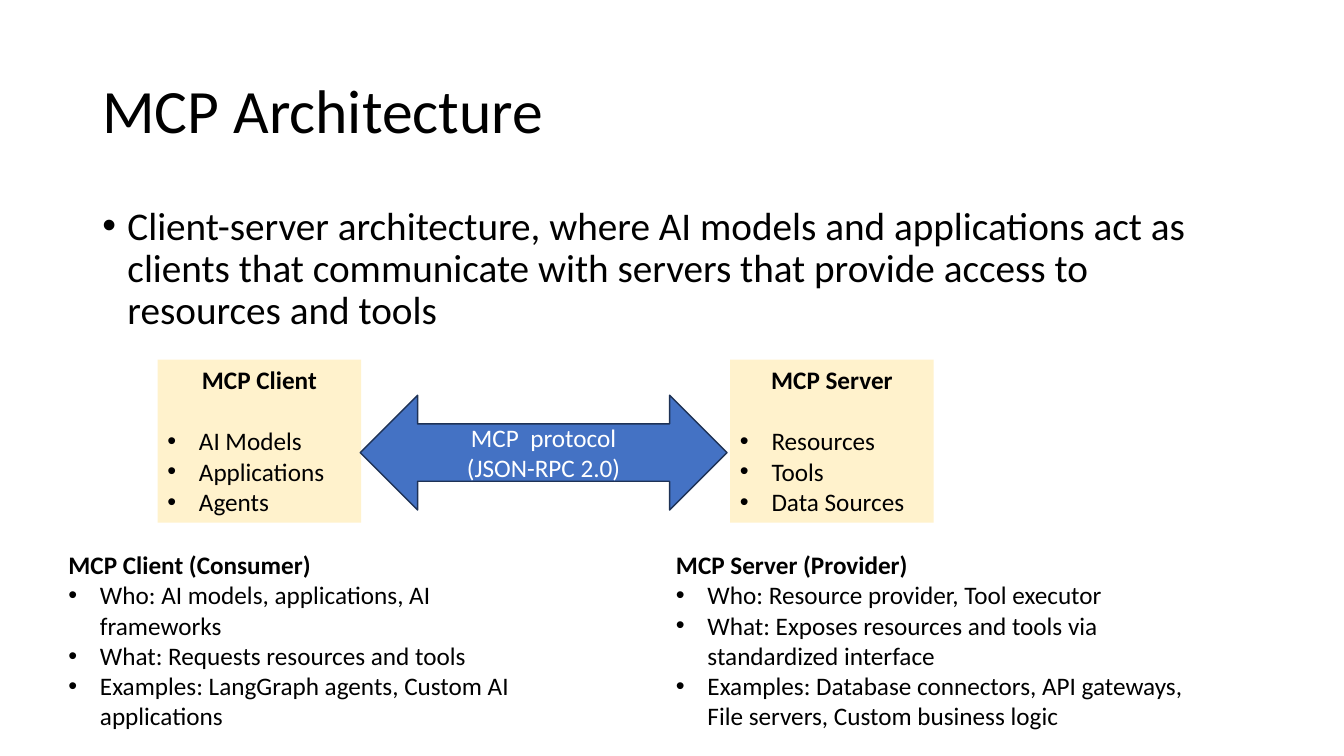
"""Build the MCP Architecture slide."""
from lxml import etree
from pptx import Presentation
from pptx import util as u
from pptx.dml.color import RGBColor
from pptx.enum import shapes, text
from pptx.oxml.ns import qn

CENTER = text.PP_ALIGN.CENTER
MIDDLE = text.MSO_ANCHOR.MIDDLE


def rgb(value):
    """Turn a hex string into a colour."""
    return RGBColor.from_string(value)


def write(sp, lines, size=18, color="000000", bold=False, indent=0, anchor=None, first=True, **fmt):
    """Add lines to a shape, with bullets where an indent is given."""
    tf = sp.text_frame
    tf.word_wrap = True
    if anchor is not None:
        tf.vertical_anchor = anchor
    for i, line in enumerate(lines):
        p = tf.paragraphs[0] if first and i == 0 else tf.add_paragraph()
        for name, value in {"alignment": text.PP_ALIGN.LEFT, **fmt}.items():
            setattr(p, name, value)
        if indent:
            pPr = p._p.get_or_add_pPr()
            pPr.set("marL", str(u.Pt(indent)))
            pPr.set("indent", str(-u.Pt(indent)))
            etree.SubElement(pPr, qn("a:buFont")).set("typeface", "Arial")
            etree.SubElement(pPr, qn("a:buChar")).set("char", "•")
        r = p.add_run()
        r.text = line
        for name, value in {"name": "Calibri", "size": u.Pt(size), "bold": bold}.items():
            setattr(r.font, name, value)
        r.font.color.rgb = rgb(color)


prs = Presentation()
prs.slide_width, prs.slide_height = u.Pt(960), u.Pt(540)
s = prs.slides.add_slide(prs.slide_layouts[6])

title = s.shapes.add_textbox(u.Pt(66), u.Pt(28.75), u.Pt(828), u.Pt(104.4))
write(title, ["MCP Architecture"], size=44, anchor=MIDDLE, line_spacing=0.9)

body = s.shapes.add_textbox(u.Pt(66), u.Pt(143.75), u.Pt(828), u.Pt(342.6))
write(body, ["Client-server architecture, where AI models and applications act as clients "
             "that communicate with servers that provide access to resources and tools"],
      size=28, indent=18, line_spacing=0.9, space_before=u.Pt(10))

boxes = [
    (112.5, "MCP Client", ["AI Models", "Applications", "Agents"]),
    (521.5, "MCP Server", ["Resources", "Tools", "Data Sources"]),
]
for left, heading, items in boxes:
    sp = s.shapes.add_shape(shapes.MSO_SHAPE.RECTANGLE, u.Pt(left), u.Pt(257), u.Pt(145.5), u.Pt(116.4))
    sp.shadow.inherit = False
    sp.fill.solid()
    sp.fill.fore_color.rgb = rgb("FFF2CC")
    sp.line.fill.background()
    write(sp, [heading], bold=True, anchor=text.MSO_ANCHOR.TOP, alignment=CENTER, space_after=u.Pt(22))
    write(sp, items, indent=22.5, first=False)

arrow = s.shapes.add_shape(shapes.MSO_SHAPE.LEFT_RIGHT_ARROW, u.Pt(257.3), u.Pt(282.3), u.Pt(262), u.Pt(82))
arrow.shadow.inherit = False
arrow.fill.solid()
arrow.fill.fore_color.rgb = rgb("4472C4")
arrow.line.color.rgb = rgb("1E3256")
arrow.line.width = u.Pt(1)
write(arrow, ["MCP  protocol", "(JSON-RPC 2.0)"], color="FFFFFF", anchor=MIDDLE, alignment=CENTER)

roles = [
    (41.8, 350, "MCP Client (Consumer)", [
        "Who: AI models, applications, AI frameworks",
        "What: Requests resources and tools",
        "Examples: LangGraph agents, Custom AI applications"]),
    (475.8, 384.5, "MCP Server (Provider)", [
        "Who: Resource provider, Tool executor",
        "What: Exposes resources and tools via standardized interface",
        "Examples: Database connectors, API gateways, File servers, Custom business logic"]),
]
for left, width, heading, items in roles:
    sp = s.shapes.add_textbox(u.Pt(left), u.Pt(389), u.Pt(width), u.Pt(138))
    write(sp, [heading], bold=True)
    write(sp, items, indent=22.5, first=False)

prs.save("out.pptx")
